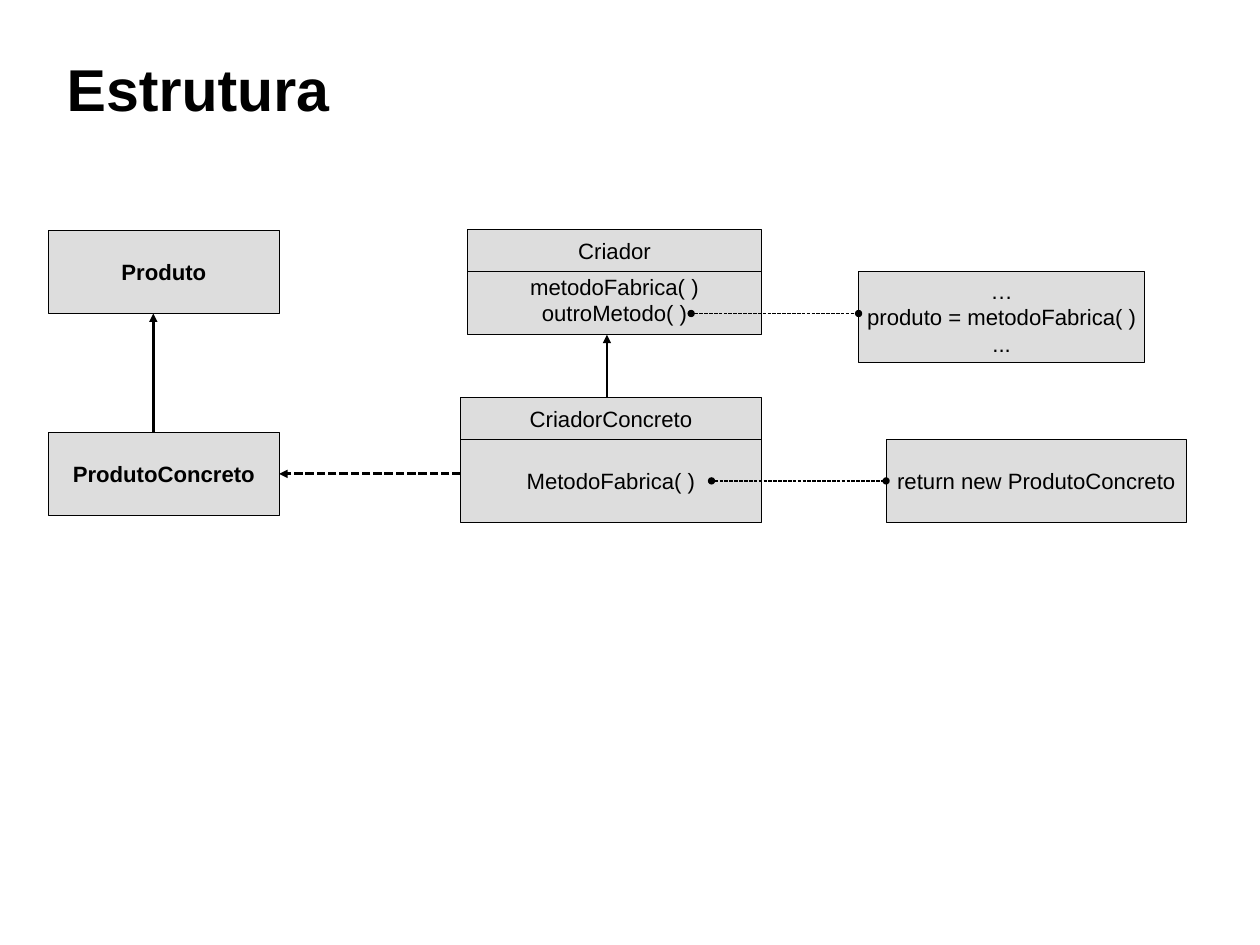
from lxml.etree import SubElement
from pptx import Presentation
from pptx.dml.color import RGBColor
from pptx.enum.dml import MSO_LINE
from pptx.enum.shapes import MSO_CONNECTOR, MSO_SHAPE
from pptx.enum.text import MSO_ANCHOR, PP_ALIGN
from pptx.oxml.ns import qn
from pptx.util import Inches, Pt

BLACK = RGBColor(0x00, 0x00, 0x00)
GREY = RGBColor(0xDD, 0xDD, 0xDD)

prs = Presentation()
prs.slide_width, prs.slide_height = Inches(14.22), Inches(10.67)
s = prs.slides.add_slide(prs.slide_layouts[6])


def write(sp, text, size=18, bold=False, wrap=False):
    """Fill a shape with centred text, one paragraph per line."""
    tf = sp.text_frame
    tf.word_wrap = wrap
    tf.vertical_anchor = MSO_ANCHOR.MIDDLE
    tf.text = text
    for p in tf.paragraphs:
        p.alignment = PP_ALIGN.CENTER
        font = p.runs[0].font
        font.name, font.size, font.bold = "Arial", Pt(size), bold
        font.color.rgb = BLACK


def connect(start, end, width, dash=None, **ends):
    """Draw a line; headEnd and tailEnd name the arrowheads at its ends."""
    line = s.shapes.add_connector(
        MSO_CONNECTOR.STRAIGHT, *[Inches(v) for v in start + end])
    line.line.color.rgb = BLACK
    line.line.width = Pt(width)
    if dash is not None:
        line.line.dash_style = dash
    ln = line.line._get_or_add_ln()
    for tag, kind in ends.items():
        SubElement(ln, qn(f"a:{tag}"), type=kind)
    SubElement(line._element.spPr, qn("a:effectLst"))


title = s.shapes.add_textbox(Inches(0), Inches(0.4), Inches(4.47), Inches(1.18))
tf = title.text_frame
tf.margin_left = tf.margin_right = tf.margin_top = tf.margin_bottom = 0
write(title, "Estrutura", size=48, bold=True, wrap=True)

# Class names come after their methods so that they lie on top
boxes = [
    (0.55, 2.6, 2.6, 0.94, "Produto", True),
    (0.55, 4.88, 2.6, 0.94, "ProdutoConcreto", True),
    (5.28, 2.99, 3.31, 0.79, "metodoFabrica( )\noutroMetodo( )", False),
    (5.28, 2.59, 3.31, 0.47, "Criador", False),
    (5.2, 4.96, 3.39, 0.94, "MetodoFabrica( )", False),
    (5.2, 4.49, 3.39, 0.47, "CriadorConcreto", False),
    (9.69, 3.07, 3.23, 1.02, "…\nproduto = metodoFabrica( )\n...", False),
    (10, 4.96, 3.39, 0.94, "return new ProdutoConcreto", False),
]
for left, top, width, height, text, bold in boxes:
    sp = s.shapes.add_shape(MSO_SHAPE.RECTANGLE, Inches(left), Inches(top),
                            Inches(width), Inches(height))
    sp.shadow.inherit = False
    sp.fill.solid()
    sp.fill.fore_color.rgb = GREY
    sp.line.color.rgb = BLACK
    sp.line.width = Pt(0)
    write(sp, text, bold=bold)

# Inheritance, creation, then links from methods to their code
connect((1.73, 4.88), (1.73, 3.54), 2.3, tailEnd="triangle")
connect((6.85, 4.49), (6.85, 3.78), 2.3, tailEnd="triangle")
connect((5.2, 5.35), (3.15, 5.35), 2.3, MSO_LINE.SQUARE_DOT, tailEnd="triangle")
for start, end in [((7.8, 3.54), (9.69, 3.54)), ((8.03, 5.43), (10, 5.43))]:
    connect(start, end, 1, MSO_LINE.SQUARE_DOT, headEnd="oval", tailEnd="oval")

prs.save("out.pptx")
